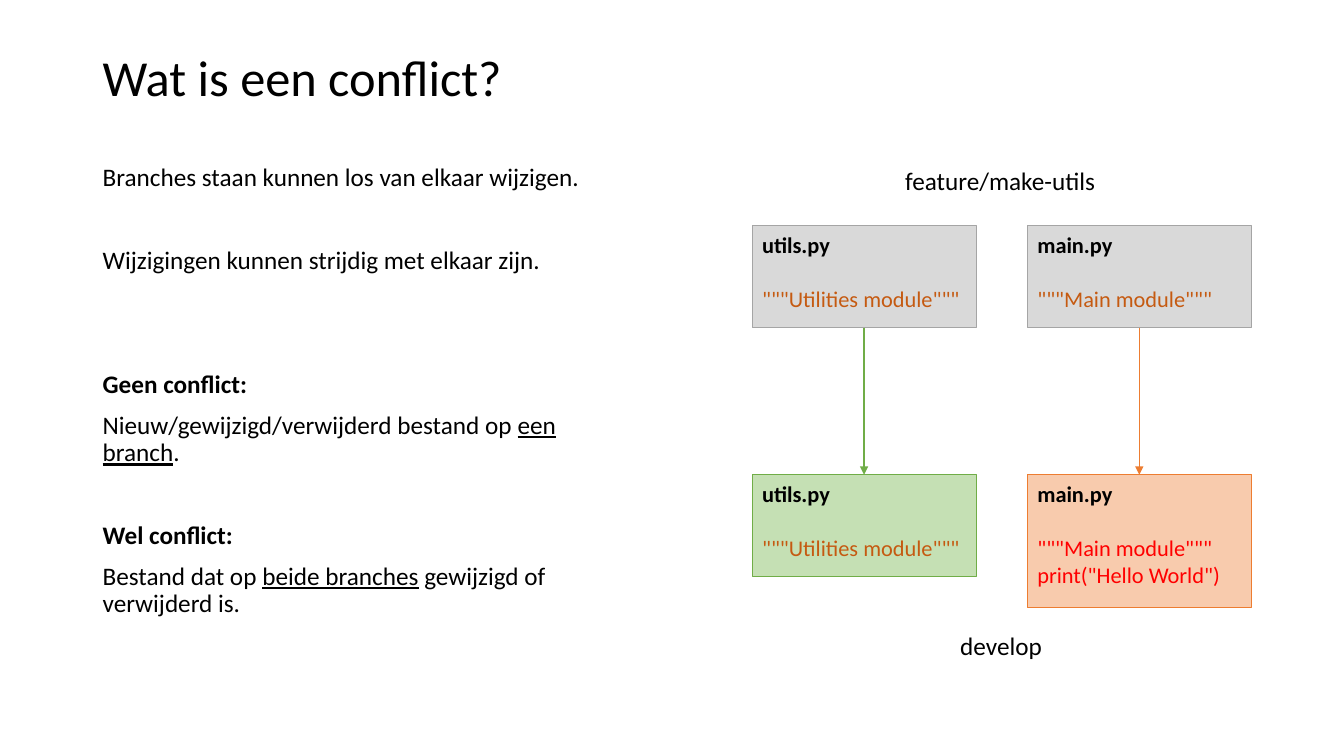
from dataclasses import dataclass

from lxml import etree
from pptx import Presentation
from pptx import util as u
from pptx.dml.color import RGBColor
from pptx.enum import shapes, text
from pptx.oxml import ns


@dataclass(frozen=True)
class Theme:
    font: str = "Calibri"
    title: int = 36
    body: int = 18
    code: int = 16
    ink: str = "000000"
    doc: str = "C55A11"
    clash: str = "FF0000"
    gray: tuple = ("D9D9D9", "A5A5A5")
    green: tuple = ("C5E0B4", "70AD47")
    orange: tuple = ("F8CBAD", "ED7D31")


T = Theme()
WIDE, HIGH = 13.33, 7.5
EDGE, TOP = 0.92, 1.59
LEFT, FIRST = 7.46, 2.24
STEP, DROP = 2.73, 2.47
CARD, SHORT, TALL = 2.22, 1.01, 1.32
MID = LEFT + (STEP + CARD) / 2
LINE = 19.5

UTILS = '"""Utilities module"""'
MAIN = '"""Main module"""'
HELLO = 'print("Hello World")'

BODY = [
    (0, False, ["Branches staan kunnen los van elkaar wijzigen."]),
    (1, False, ["Wijzigingen kunnen strijdig met elkaar zijn."]),
    (2, True, ["Geen conflict:"]),
    (0, False, ["Nieuw/gewijzigd/verwijderd bestand op ", "een branch", "."]),
    (1, True, ["Wel conflict:"]),
    (0, False, ["Bestand dat op ", "beide branches", " gewijzigd of verwijderd is."]),
]

CARDS = [
    (0, 0, SHORT, T.gray, "utils.py", T.doc, [UTILS]),
    (1, 0, SHORT, T.gray, "main.py", T.doc, [MAIN]),
    (0, 1, SHORT, T.green, "utils.py", T.doc, [UTILS]),
    (1, 1, TALL, T.orange, "main.py", T.clash, [MAIN, HELLO]),
]


def col(i):
    return LEFT + i * STEP


def row(i):
    return FIRST + i * DROP


def inch(*nums):
    return [u.Inches(n) for n in nums]


def rgb(code):
    return RGBColor.from_string(code)


def style(para, size, color=T.ink, bold=False):
    font = para.font
    font.name = T.font
    font.size = u.Pt(size)
    font.bold = bold
    font.color.rgb = rgb(color)


def fill(frame, items):
    for i, item in enumerate(items):
        para = frame.add_paragraph() if i else frame.paragraphs[0]
        yield para, item


def box(slide, area, wrap=True):
    frame = slide.shapes.add_textbox(*inch(*area)).text_frame
    frame.word_wrap = wrap
    return frame


def head(slide, words):
    frame = box(slide, (EDGE, 0.4, 11.5, 0.79))
    frame.vertical_anchor = text.MSO_ANCHOR.MIDDLE
    para = frame.paragraphs[0]
    para.text = words
    para.line_spacing = 0.9
    style(para, T.title)


def body(slide, items):
    frame = box(slide, (EDGE, TOP, 5.35, 5.16))
    for para, (gaps, bold, parts) in fill(frame, items):
        para.line_spacing = 0.9
        para.space_before = u.Pt(10 + gaps * 29.5)
        style(para, T.body, bold=bold)
        for i, part in enumerate(parts):
            run = para.add_run()
            run.text = part
            if i == 1:
                run.font.underline = True
    frame.paragraphs[0].space_before = u.Pt(0)


def label(slide, words, top, width):
    frame = box(slide, (MID - width / 2, top, width, 0.4), False)
    frame.auto_size = text.MSO_AUTO_SIZE.SHAPE_TO_FIT_TEXT
    para = frame.paragraphs[0]
    para.text = words
    style(para, T.body)


def card(slide, x, y, high, hues, name, color, code):
    area = inch(col(x), row(y), CARD, high)
    shape = slide.shapes.add_shape(shapes.MSO_SHAPE.RECTANGLE, *area)
    shape.shadow.inherit = False
    shape.fill.solid()
    shape.fill.fore_color.rgb = rgb(hues[0])
    shape.line.color.rgb = rgb(hues[1])
    shape.line.width = u.Pt(0.5)
    frame = shape.text_frame
    frame.word_wrap = True
    frame.vertical_anchor = text.MSO_ANCHOR.TOP
    for para, words in fill(frame, [name] + code):
        para.text = words
        para.alignment = text.PP_ALIGN.LEFT
        style(para, T.code, color)
    style(frame.paragraphs[0], T.code, bold=True)
    frame.paragraphs[1].space_before = u.Pt(LINE)


def arrow(slide, x, color):
    mid = col(x) + CARD / 2
    ends = inch(mid, row(0) + SHORT, mid, row(1))
    link = slide.shapes.add_connector(shapes.MSO_CONNECTOR.STRAIGHT, *ends)
    link.line.color.rgb = rgb(color)
    link.line.width = u.Pt(1)
    tip = etree.SubElement(link.line._get_or_add_ln(), ns.qn("a:tailEnd"))
    tip.set("type", "triangle")
    etree.SubElement(link._element.spPr, ns.qn("a:effectLst"))


def main():
    deck = Presentation()
    deck.slide_width, deck.slide_height = inch(WIDE, HIGH)
    slide = deck.slides.add_slide(deck.slide_layouts[6])
    head(slide, "Wat is een conflict?")
    body(slide, BODY)
    label(slide, "feature/make-utils", TOP, 2.11)
    for item in CARDS:
        card(slide, *item)
    for x, hues in enumerate((T.green, T.orange)):
        arrow(slide, x, hues[1])
    label(slide, "develop", 6.2, 1.02)
    deck.save("out.pptx")


if __name__ == "__main__":
    main()
